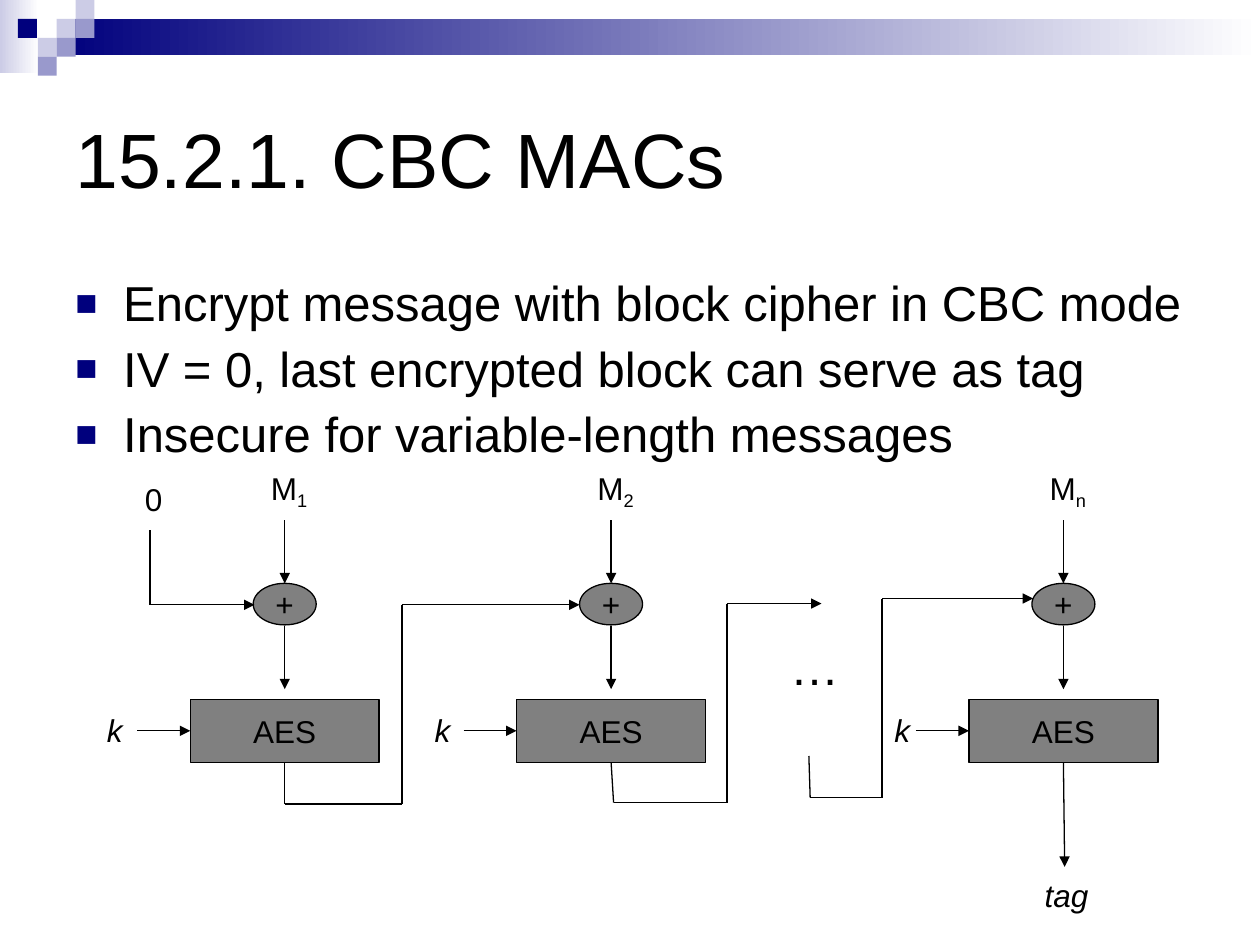
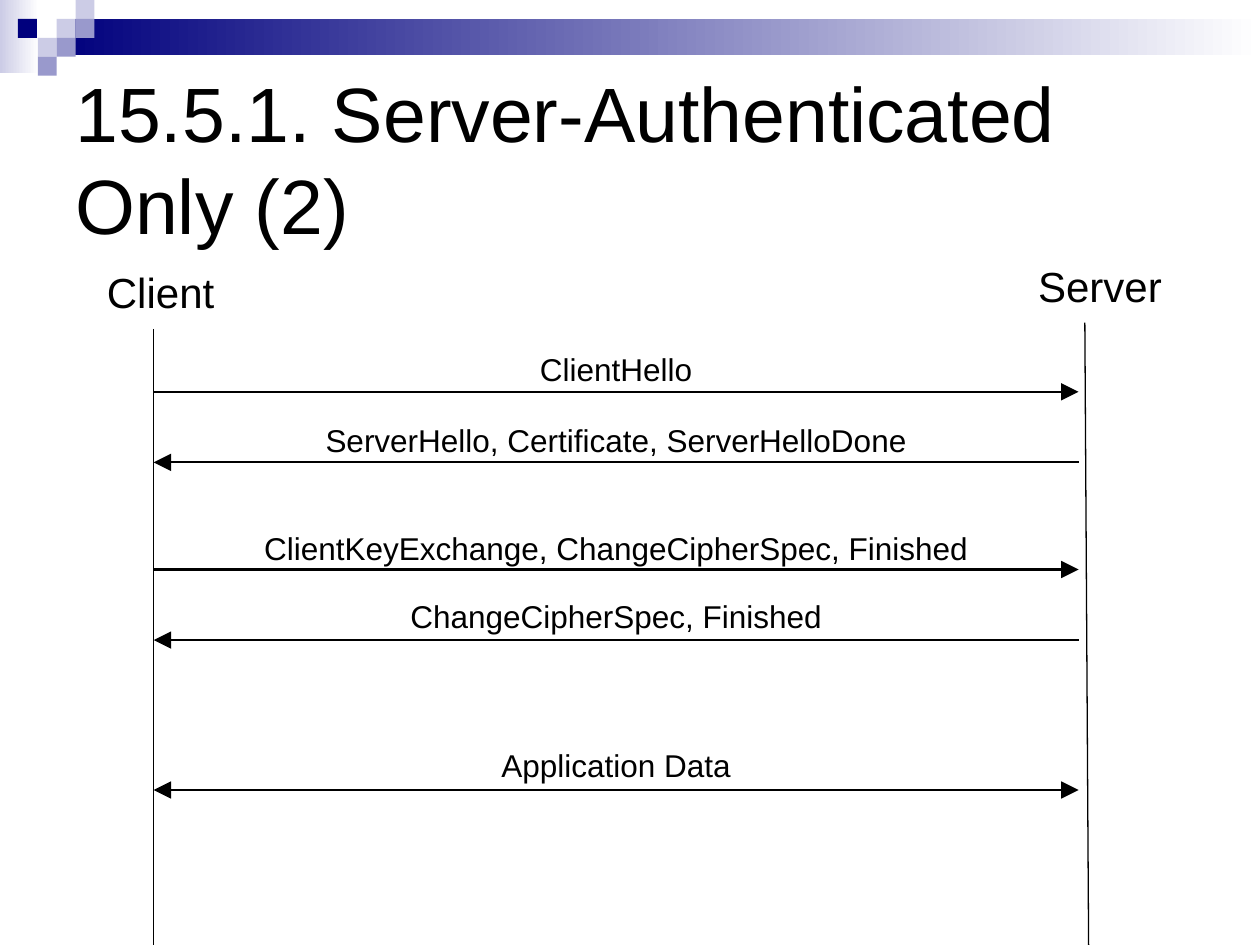
from itertools import pairwise
from lxml import etree
from pptx import Presentation
from pptx.dml.color import RGBColor
from pptx.enum import shapes, text
from pptx.oxml.ns import qn
from pptx.util import Inches, Pt

COLORS = {"ink": "000000", "navy": "00007D", "pale": "CCCCE6",
          "lilac": "9999CC", "gray": "808080", "white": "FFFFFF"}
FONT = "Arial"
UNIT = 0.15
RECT = shapes.MSO_SHAPE.RECTANGLE
OVAL = shapes.MSO_SHAPE.OVAL
LEFT, CENTER = text.PP_ALIGN.LEFT, text.PP_ALIGN.CENTER
TOP, MIDDLE = text.MSO_ANCHOR.TOP, text.MSO_ANCHOR.MIDDLE


def color(name):
    return RGBColor.from_string(COLORS[name])


def write(frame, lines, size=18, align=CENTER, anchor=TOP, wrap=False,
          italic=False, sub="", bullet=False):
    frame.word_wrap = wrap
    frame.vertical_anchor = anchor
    for i, line in enumerate(lines.split("\n")):
        para = frame.add_paragraph() if i else frame.paragraphs[0]
        para.alignment = align
        for part in filter(None, (line, sub)):
            run = para.add_run()
            run.text = part
            font = run.font
            font.name, font.size, font.italic = FONT, Pt(size), italic
            font.color.rgb = color("ink")
        if sub:
            font._element.set("baseline", "-25000")
        if bullet:
            para.line_spacing, para.space_before = 0.9, Pt(7)
            mark(para)


def mark(para):
    props = para._p.get_or_add_pPr()
    props.set("marL", str(Inches(0.38)))
    props.set("indent", str(-Inches(0.38)))
    tint = etree.SubElement(props, qn("a:buClr"))
    etree.SubElement(tint, qn("a:srgbClr"), val=COLORS["navy"])
    etree.SubElement(props, qn("a:buSzPct"), val="75000")
    etree.SubElement(props, qn("a:buFont"), typeface=FONT)
    etree.SubElement(props, qn("a:buChar"), char="■")


def label(slide, words, x, y, w, h=0.4, **style):
    box = slide.shapes.add_textbox(*map(Inches, (x, y, w, h)))
    write(box.text_frame, words, **style)
    if not style.get("wrap"):
        box.text_frame.auto_size = text.MSO_AUTO_SIZE.SHAPE_TO_FIT_TEXT


def block(slide, kind, x, y, w, h, fill, words=""):
    shape = slide.shapes.add_shape(kind, *map(Inches, (x, y, w, h)))
    shape.shadow.inherit = False
    shape.fill.solid()
    shape.fill.fore_color.rgb = color(fill)
    if words:
        shape.line.color.rgb = color("ink")
        shape.line.width = Pt(0.75)
        write(shape.text_frame, words, anchor=MIDDLE)
    else:
        shape.line.fill.background()
    return shape


def fade(slide, x, y, w, h, tone):
    fill = block(slide, RECT, x, y, w, h, tone).fill
    fill.gradient()
    fill.gradient_angle = 180
    for stop, name in zip(fill.gradient_stops, ("white", tone)):
        stop.color.rgb = color(name)


def link(slide, start, end, head=False, tail=False, width=0.75,
         size="med", begin=None, finish=None):
    line = slide.shapes.add_connector(
        shapes.MSO_CONNECTOR.STRAIGHT, *map(Inches, (*start, *end)))
    line.line.color.rgb = color("ink")
    line.line.width = Pt(width)
    stroke = line.line._get_or_add_ln()
    for tag, shown in (("a:headEnd", head), ("a:tailEnd", tail)):
        if shown:
            etree.SubElement(stroke, qn(tag), type="triangle",
                             w=size, len=size)
    etree.SubElement(line._element.spPr, qn("a:effectLst"))
    if begin:
        line.begin_connect(*begin)
    if finish:
        line.end_connect(*finish)


def route(slide, points, tail=True):
    pairs = list(pairwise(points))
    for i, (start, end) in enumerate(pairs, 1):
        link(slide, start, end, tail=tail and i == len(pairs))


def base(deck, title):
    slide = deck.slides.add_slide(deck.slide_layouts[6])
    fade(slide, 0, 0, 0.31, 0.58, "pale")
    fade(slide, 3 * UNIT, UNIT, 10 - 3 * UNIT, 0.29, "navy")
    tiles = ((3, 1, "pale"), (4, 0, "pale"), (4, 1, "lilac"), (2, 2, "pale"),
             (0.95, 1, "navy"), (3, 2, "lilac"), (2, 3, "lilac"))
    for col, row, tone in tiles:
        block(slide, RECT, col * UNIT, row * UNIT, UNIT, UNIT, tone)
    label(slide, title, 0.5, 0.5, 9, 1.5, size=44, align=LEFT,
          anchor=MIDDLE, wrap=True)
    return slide


def stage(slide, mid, sub, key):
    box = block(slide, RECT, mid - 0.75, 5.55, 1.5, 0.5, "gray", "AES")
    plus = block(slide, OVAL, mid - 0.25, 4.63, 0.5, 0.33, "gray", "+")
    label(slide, "M", mid - 0.21, 3.67, 0.49, 0.44, sub=sub)
    label(slide, "k", key, 5.59, 0.32, italic=True)
    link(slide, (mid, 4.13), (mid, 4.63), tail=True, finish=(plus, 0))
    link(slide, (mid, 4.97), (mid, 5.47), tail=True)
    link(slide, (mid - 1.17, 5.8), (mid - 0.75, 5.8), tail=True,
         finish=(box, 1))
    return box


def chain(deck):
    slide = base(deck, "15.2.1. CBC MACs")
    label(slide, "Encrypt message with block cipher in CBC mode\n"
          "IV = 0, last encrypted block can serve as tag\n"
          "Insecure for variable-length messages",
          0.5, 2.17, 9, 4.25, size=28, align=LEFT, wrap=True, bullet=True)
    for mid, sub, key in ((2.26, "1", 0.75), (4.85, "2", 3.35),
                          (8.44, "n", 7)):
        last = stage(slide, mid, sub, key)
    label(slide, "0", 1.05, 3.76, 0.34)
    label(slide, "…", 6.17, 5, 0.59, 0.57, size=28)
    label(slide, "tag", 8.19, 6.9, 0.55, italic=True)
    link(slide, (8.44, 6.05), (8.45, 6.88), tail=True, begin=(last, 2))
    route(slide, ((1.19, 4.21), (1.19, 4.8), (2.02, 4.8)))
    route(slide, ((2.26, 6.05), (2.26, 6.38), (3.19, 6.38), (3.19, 4.8),
                  (4.6, 4.8)))
    route(slide, ((4.85, 6.05), (4.87, 6.37), (5.77, 6.37), (5.77, 4.79),
                  (6.52, 4.79)))
    route(slide, ((6.42, 6), (6.43, 6.33), (7, 6.33), (7, 4.75),
                  (8.2, 4.75)))


def flow(deck):
    slide = base(deck, "15.5.1. Server-Authenticated Only (2)")
    near, far = 1.22, 8.56
    mid = (near + far) / 2
    label(slide, "Client", 0.75, 2.07, 1.05, 0.5, size=24, align=LEFT)
    label(slide, "Server", 8.14, 2.02, 1.18, 0.5, size=24, align=LEFT)
    steps = (
        ("ClientHello", 2.73, 1.5, 3.11, "right"),
        ("ServerHello, Certificate, ServerHelloDone",
         3.29, 4.9, 3.67, "left"),
        ("ClientKeyExchange, ChangeCipherSpec, Finished",
         4.15, 5.9, 4.52, "right"),
        ("ChangeCipherSpec, Finished", 4.69, 3.6, 5.08, "left"),
        ("Application Data", 5.87, 2.1, 6.27, "both"))
    for words, y, w, level, way in steps:
        ends = (near, level), (far, level)
        link(slide, *(ends[::-1] if way == "left" else ends),
             head=way == "both", tail=True, width=1.25, size="lg")
        label(slide, words, mid - w / 2, y, w)
    link(slide, (near, 2.61), (near, 7.5))
    link(slide, (8.61, 2.56), (8.64, 7.5))


def main():
    deck = Presentation()
    deck.slide_width, deck.slide_height = Inches(10), Inches(7.5)
    chain(deck)
    flow(deck)
    deck.save("out.pptx")


if __name__ == "__main__":
    main()
